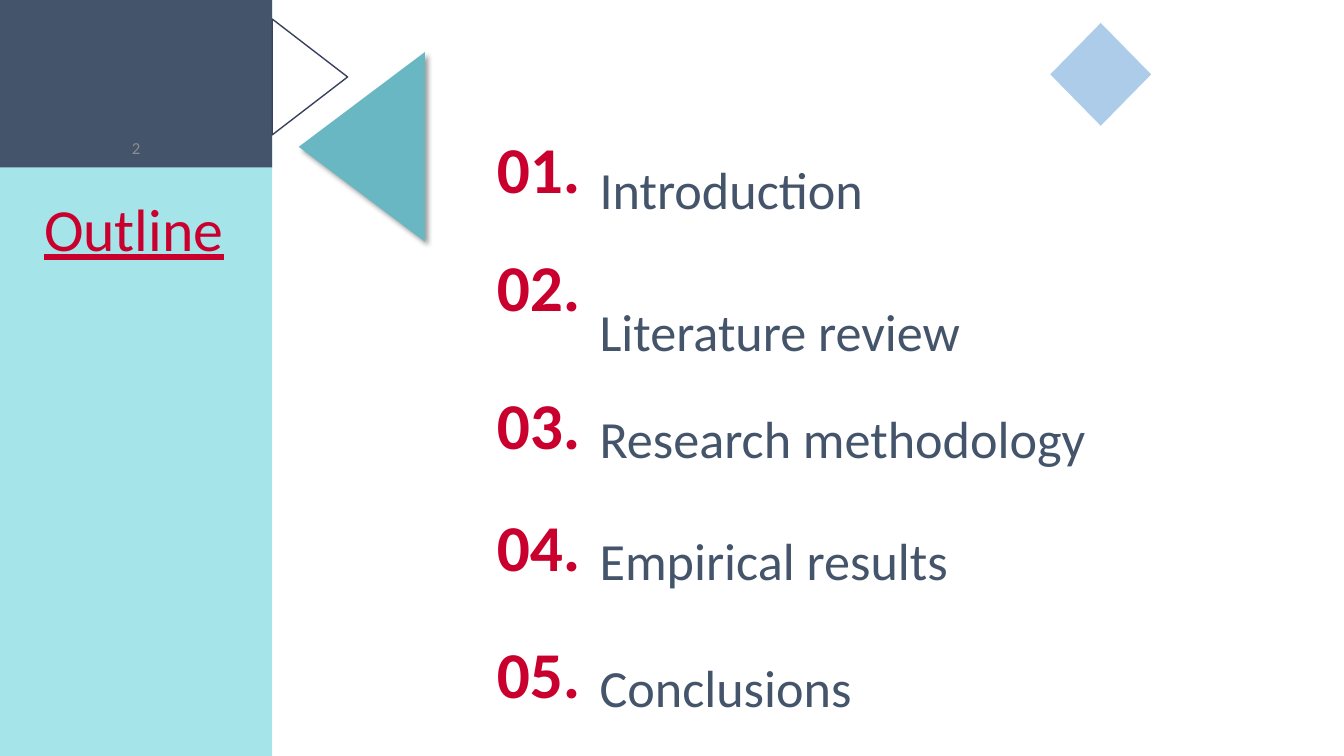
from dataclasses import dataclass
from typing import Optional

from lxml.etree import SubElement
from pptx import Presentation
from pptx.dml.color import RGBColor
from pptx.enum.shapes import MSO_SHAPE
from pptx.enum.text import MSO_ANCHOR, MSO_AUTO_SIZE, PP_ALIGN
from pptx.oxml.ns import qn
from pptx.util import Cm, Pt

COLOURS = {
    "red": "C9002E",
    "slate": "44546A",
    "aqua": "0DB7C4",
    "teal": "69B7C3",
    "navy": "3A415E",
    "blue": "5B9BD5",
    "grey": "8C8C8C",
    "black": "000000",
}
SIDEBAR_WIDTH = 6.86
HEADER_HEIGHT = 4.22
SLIDE_WIDTH = 33.87
SLIDE_HEIGHT = 19.05
TEXT_INSET = 0.25


@dataclass
class Decoration:
    preset: MSO_SHAPE
    left: float
    top: float
    width: float
    height: float
    fill: Optional[str] = None
    opacity: int = 100
    line: Optional[str] = None
    rotation: int = 0
    shadow: bool = False


@dataclass
class OutlineItem:
    label: str
    number_top: float
    label_offset: float = 0.56
    label_width: float = 15.77
    line_spacing: float = 1.0


PANELS = [
    Decoration(MSO_SHAPE.RECTANGLE, 0, 0, SIDEBAR_WIDTH, SLIDE_HEIGHT, "aqua", 37),
    Decoration(MSO_SHAPE.RECTANGLE, 0, 0, SIDEBAR_WIDTH, HEADER_HEIGHT, "slate"),
]
ORNAMENTS = [
    Decoration(MSO_SHAPE.ISOSCELES_TRIANGLE, 6.73, 2.11, 4.78, 3.18, "teal",
               rotation=270, shadow=True),
    Decoration(MSO_SHAPE.ISOSCELES_TRIANGLE, 6.35, 0.99, 2.92, 1.9,
               line="navy", rotation=90),
    Decoration(MSO_SHAPE.DIAMOND, 26.47, 0.58, 2.54, 2.59, "blue", 50),
]
OUTLINE = [
    OutlineItem("Introduction", 3.1, label_offset=0.74, label_width=11.84),
    OutlineItem("Literature review", 6.07, line_spacing=1.5),
    OutlineItem("Research methodology", 9.55),
    OutlineItem("Empirical results", 12.62),
    OutlineItem("Conclusions", 15.82),
]


def rgb(name: str) -> RGBColor:
    return RGBColor.from_string(COLOURS[name])


def add_alpha(colour_element, percent: int) -> None:
    SubElement(colour_element, qn("a:alpha"), val=str(percent * 1000))


def draw_decoration(slide, item: Decoration) -> None:
    shape = slide.shapes.add_shape(
        item.preset, Cm(item.left), Cm(item.top), Cm(item.width), Cm(item.height))
    shape.rotation = item.rotation
    shape.shadow.inherit = False
    properties = shape._element.spPr
    if item.fill:
        shape.fill.solid()
        shape.fill.fore_color.rgb = rgb(item.fill)
        if item.opacity < 100:
            add_alpha(properties.find(qn("a:solidFill"))[0], item.opacity)
    else:
        shape.fill.background()
    if item.line:
        shape.line.color.rgb = rgb(item.line)
        shape.line.width = Pt(1)
    else:
        shape.line.fill.background()
    if item.shadow:
        effects = properties.find(qn("a:effectLst"))
        outer = SubElement(effects, qn("a:outerShdw"), blurRad=str(Pt(4)),
                           dist=str(Pt(3)), dir=str(45 * 60000), algn="tl",
                           rotWithShape="0")
        add_alpha(SubElement(outer, qn("a:srgbClr"), val=COLOURS["black"]), 40)


def style_paragraph(paragraph, size: float, colour: str, bold: bool = False,
                    underline: bool = False) -> None:
    font = paragraph.font
    font.name = "Calibri"
    font.size = Pt(size)
    font.bold = bold
    font.underline = underline
    font.color.rgb = rgb(colour)


def set_insets(frame) -> None:
    frame.margin_left = frame.margin_right = Cm(TEXT_INSET)
    frame.margin_top = frame.margin_bottom = Cm(TEXT_INSET)


def place_title(slide) -> None:
    title = slide.shapes.title
    slide.shapes._spTree.append(title._element)
    title.left, title.top = Cm(0.86), Cm(4.78)
    title.width, title.height = Cm(5.11), Cm(HEADER_HEIGHT)
    frame = title.text_frame
    frame.text = "Outline"
    frame.word_wrap = True
    frame.auto_size = MSO_AUTO_SIZE.NONE
    frame.vertical_anchor = MSO_ANCHOR.TOP
    set_insets(frame)
    heading = frame.paragraphs[0]
    heading.alignment = PP_ALIGN.LEFT
    heading.line_spacing = 0.9
    style_paragraph(heading, 42.7, "red", underline=True)


def add_page_number(slide) -> None:
    frame = slide.shapes.add_textbox(
        0, 0, Cm(SIDEBAR_WIDTH), Cm(HEADER_HEIGHT)).text_frame
    frame.word_wrap = True
    frame.vertical_anchor = MSO_ANCHOR.BOTTOM
    set_insets(frame)
    page = frame.paragraphs[0]
    page.text = "2"
    page.alignment = PP_ALIGN.CENTER
    style_paragraph(page, 12, "grey")


def add_entry(slide, text: str, left: float, top: float, width: float,
              height: float, size: float, colour: str, bold: bool = False,
              line_spacing: float = 1.0) -> None:
    frame = slide.shapes.add_textbox(
        Cm(left), Cm(top), Cm(width), Cm(height)).text_frame
    frame.word_wrap = True
    frame.auto_size = MSO_AUTO_SIZE.SHAPE_TO_FIT_TEXT
    entry = frame.paragraphs[0]
    entry.text = text
    entry.line_spacing = line_spacing
    style_paragraph(entry, size, colour, bold)


def draw_outline_item(slide, position: int, item: OutlineItem) -> None:
    add_entry(slide, f"{position:02d}.", 12.27, item.number_top, 5.38, 2.26,
              46.7, "red", bold=True)
    label_height = 1.85 if item.line_spacing == 1 else 2.41
    add_entry(slide, item.label, 14.86, item.number_top + item.label_offset,
              item.label_width, label_height, 37.3, "slate",
              line_spacing=item.line_spacing)


def main() -> None:
    presentation = Presentation()
    presentation.slide_width = Cm(SLIDE_WIDTH)
    presentation.slide_height = Cm(SLIDE_HEIGHT)
    slide = presentation.slides.add_slide(presentation.slide_layouts[5])
    for panel in PANELS:
        draw_decoration(slide, panel)
    place_title(slide)
    add_page_number(slide)
    for ornament in ORNAMENTS:
        draw_decoration(slide, ornament)
    for position, item in enumerate(OUTLINE, start=1):
        draw_outline_item(slide, position, item)
    presentation.save("out.pptx")


if __name__ == "__main__":
    main()
